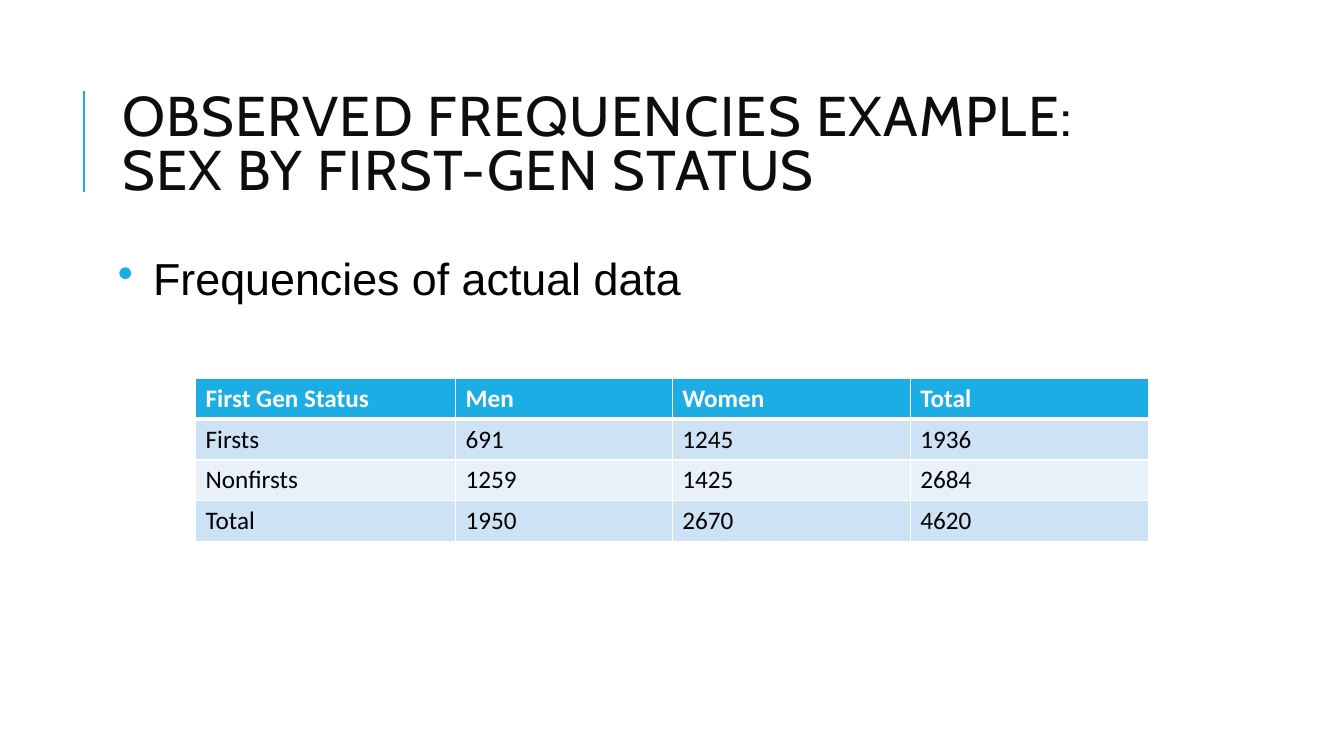
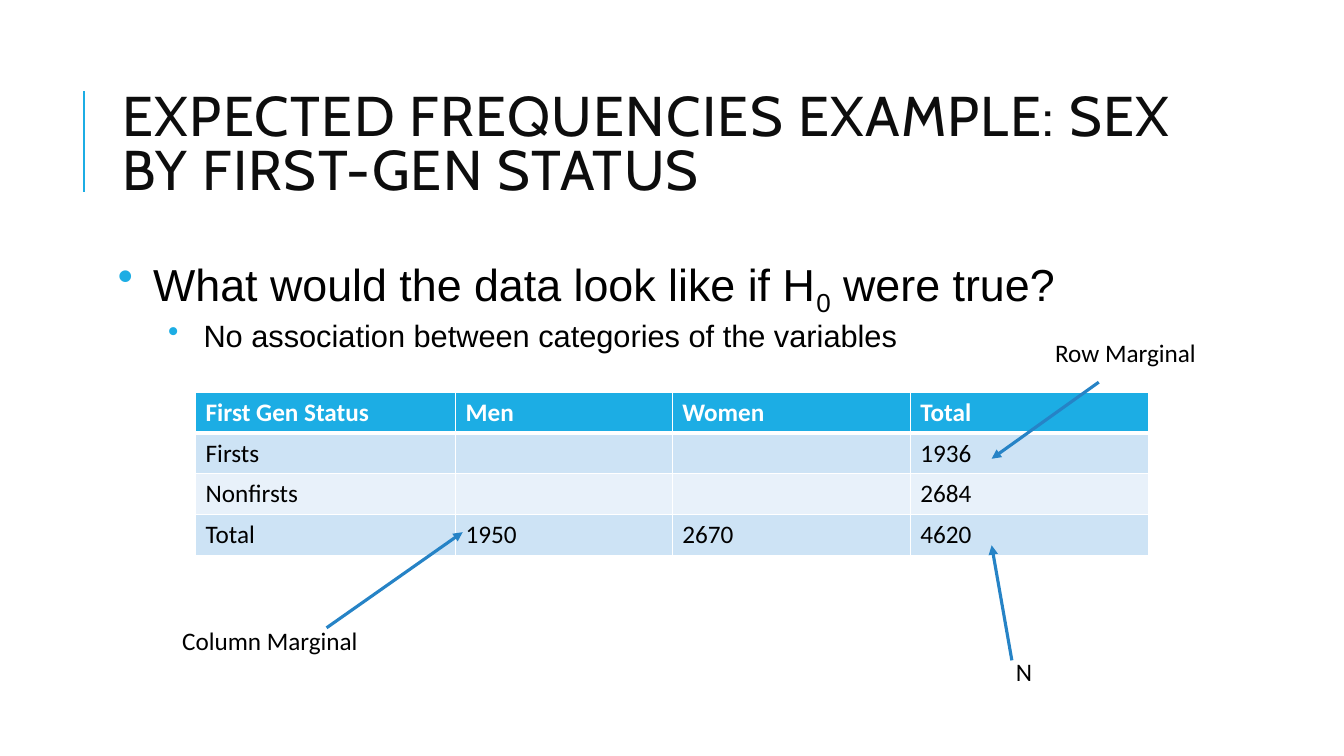
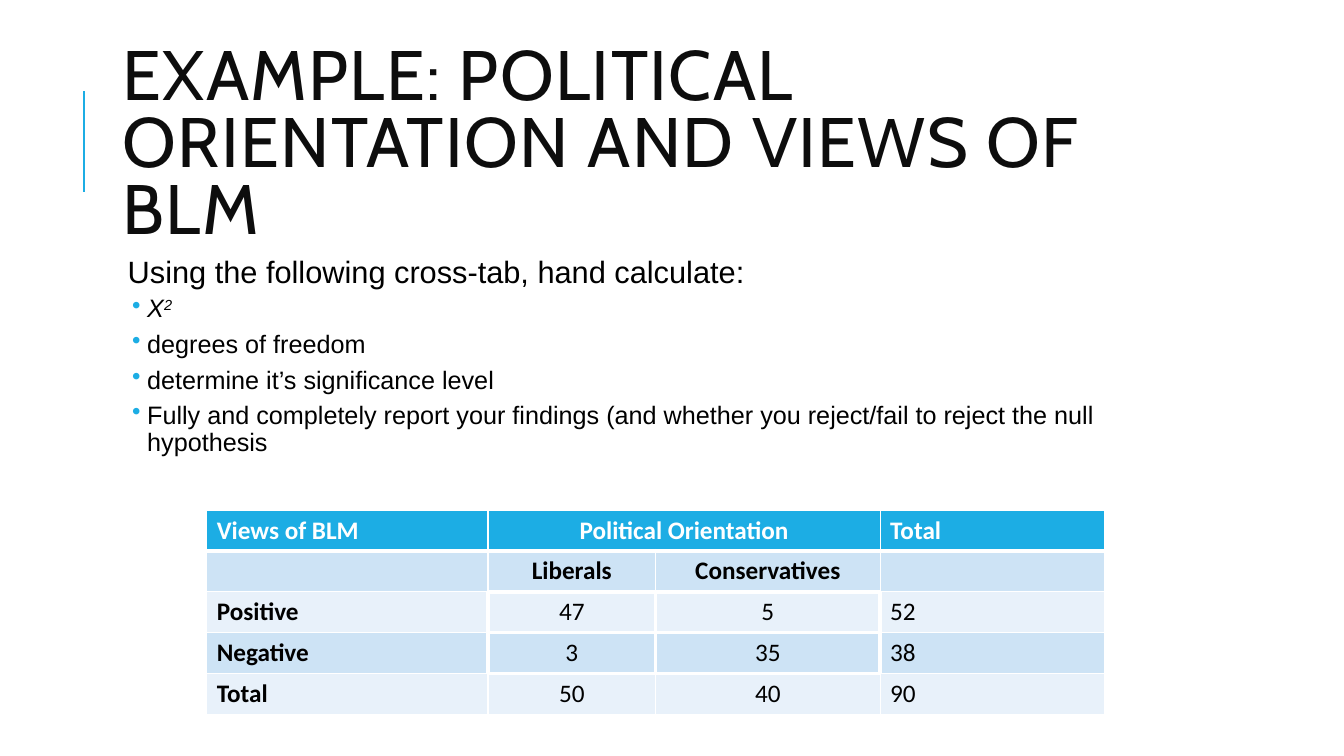
from lxml import etree
from pptx import Presentation
from pptx.dml.color import RGBColor
from pptx.enum import shapes, text
from pptx.oxml.ns import qn
from pptx.util import Cm, Pt

ACCENT = RGBColor(0x1C, 0xAD, 0xE4)
ARROW = RGBColor(0x26, 0x83, 0xC6)
INK = RGBColor(0x0D, 0x0D, 0x0D)
BLACK = RGBColor(0, 0, 0)
WHITE = RGBColor(0xFF, 0xFF, 0xFF)
BANDS = RGBColor(0xE8, 0xF1, 0xFA), RGBColor(0xCD, 0xE3, 0xF5)

TITLE_BOX = 2.84, 1.63, 27, 4.17
BODY_BOX = 2.84, 6.35, 27, 11.18
ROW_H = 1.03
LABEL_H = 1.02
EDGES = {"lnL": (0, -1), "lnR": (0, 1), "lnT": (-1, 0), "lnB": (1, 0)}

FREQUENCY_COLS = 6.55, 5.46, 6, 6
FREQUENCY_HEAD = ["First Gen Status", "Men", "Women", "Total"]
OBSERVED = [
    FREQUENCY_HEAD,
    ["Firsts", "691", "1245", "1936"],
    ["Nonfirsts", "1259", "1425", "2684"],
    ["Total", "1950", "2670", "4620"],
]
EXPECTED = [
    FREQUENCY_HEAD,
    ["Firsts", "", "", "1936"],
    ["Nonfirsts", "", "", "2684"],
    ["Total", "1950", "2670", "4620"],
]
VIEWS_COLS = 7.09, 4.22, 5.66, 5.66
VIEWS = [
    ["Views of BLM", "Political Orientation", "", "Total"],
    ["", "Liberals", "Conservatives", ""],
    ["Positive", "47", "5", "52"],
    ["Negative", "3", "35", "38"],
    ["Total", "50", "40", "90"],
]
CALLOUTS = [
    ("Column Marginal", (-0.59, 5.74, 6.07), (3.3, 5.94), (6.73, 3.53)),
    ("Row Marginal", (21.41, -1.5, 6.07), (22.76, -0.25), (20.06, 1.68)),
    ("N", (20.42, 6.53, 0.99), (20.57, 6.76), (20.06, 3.86)),
]


def add_run(p, words, size=18, font="Calibri", color=BLACK, bold=False,
            italic=False, baseline=0, spacing=0):
    r = p.add_run()
    r.text = words
    f = r.font
    f.size, f.name, f.bold, f.italic = Pt(size), font, bold, italic
    f.color.rgb = color
    rPr = r._r.get_or_add_rPr()
    if baseline:
        rPr.set("baseline", str(baseline * 1000))
    if spacing:
        rPr.set("spc", str(spacing * 100))


def add_box(s, box, wrap=True, inset=None):
    tf = s.shapes.add_textbox(*map(Cm, box)).text_frame
    tf.word_wrap = wrap
    if inset is not None:
        tf.margin_left = tf.margin_right = Cm(inset)
        tf.margin_top = tf.margin_bottom = Cm(inset)
    return tf


def add_line(s, start, end, color, width, arrow=False):
    ln = s.shapes.add_connector(shapes.MSO_CONNECTOR.STRAIGHT,
                                *map(Cm, (*start, *end)))
    ln.line.color.rgb = color
    ln.line.width = Pt(width)
    if arrow:
        etree.SubElement(ln.line._get_or_add_ln(), qn("a:tailEnd"), type="triangle")
    etree.SubElement(ln._element.spPr, qn("a:effectLst"))


def add_title(s, box, words, size):
    x, y, w, h = box
    add_line(s, (x - 0.73, y + 3.2), (x - 0.73, y + 0.66), ACCENT, 1.5)
    tf = add_box(s, box)
    tf.vertical_anchor = text.MSO_ANCHOR.MIDDLE
    p = tf.paragraphs[0]
    p.line_spacing = 0.8
    add_run(p, words, size=size, font="Cabin", color=INK, spacing=1)


def add_bullet(pPr):
    color = etree.SubElement(pPr, qn("a:buClr"))
    etree.SubElement(color, qn("a:srgbClr"), val=str(ACCENT))
    etree.SubElement(pPr, qn("a:buChar"), char="•")


def add_body(s, box, items):
    tf = add_box(s, box, inset=0.13)
    for i, (size, left, hang, runs) in enumerate(items):
        p = tf.add_paragraph() if i else tf.paragraphs[0]
        p.line_spacing = 0.9
        p.space_before, p.space_after = (Pt(2), Pt(4)) if hang else (Pt(12), Pt(2))
        pPr = p._p.get_or_add_pPr()
        pPr.set("marL", str(Cm(left)))
        pPr.set("indent", str(-Cm(hang)))
        if hang:
            add_bullet(pPr)
        for words, style in runs:
            add_run(p, words, size=size, font="Arial", **style)


def set_borders(cell, row, col, boxed):
    tcPr = cell._tc.get_or_add_tcPr()
    for i, (edge, (dr, dc)) in enumerate(EDGES.items()):
        thick = ({(row, col), (row + dr, col + dc)} & boxed
                 or (row == 0 and edge == "lnB"))
        ln = etree.Element(qn(f"a:{edge}"), w=str(Pt(3 if thick else 1)))
        fill = etree.SubElement(ln, qn("a:solidFill"))
        etree.SubElement(fill, qn("a:srgbClr"), val=str(WHITE))
        tcPr.insert(i, ln)


def add_grid(s, left, top, widths, rows, heads=1, bold_labels=False,
             centered=(), boxed=frozenset()):
    frame = s.shapes.add_table(len(rows), len(widths), Cm(left), Cm(top),
                               Cm(sum(widths)), Cm(ROW_H * len(rows)))
    tbl = frame.table
    for column, width in zip(tbl.columns, widths):
        column.width = Cm(width)
    for i, row in enumerate(rows):
        for j, words in enumerate(row):
            cell = tbl.cell(i, j)
            cell.fill.solid()
            cell.fill.fore_color.rgb = BANDS[i % 2] if i else ACCENT
            set_borders(cell, i, j, boxed)
            p = cell.text_frame.paragraphs[0]
            if j in centered:
                p.alignment = text.PP_ALIGN.CENTER
            if words:
                add_run(p, words, color=BLACK if i else WHITE,
                        bold=i < heads or (bold_labels and j == 0))
    return tbl


def add_callouts(s, left, top, callouts):
    for _, _, (x1, y1), (x2, y2) in callouts:
        add_line(s, (left + x1, top + y1), (left + x2, top + y2), ARROW, 2.25, arrow=True)
    for words, (dx, dy, width), _, _ in callouts:
        tf = add_box(s, (left + dx, top + dy, width, LABEL_H), wrap=width > 1)
        add_run(tf.paragraphs[0], words)


def new_slide(prs, title, items, size=40):
    s = prs.slides.add_slide(prs.slide_layouts[6])
    add_title(s, TITLE_BOX, title, size)
    add_body(s, BODY_BOX, items)
    return s


def observed_slide(prs):
    s = new_slide(prs, "OBSERVED FREQUENCIES EXAMPLE: SEX BY FIRST-GEN STATUS",
                  [(32, 0.89, 0.89, [("Frequencies of actual data", {})])])
    add_grid(s, 4.93, 9.53, FREQUENCY_COLS, OBSERVED)


def expected_slide(prs):
    question = [("What would the data look like if H", {}),
                ("0", {"baseline": -25}), (" were true?", {})]
    s = new_slide(prs, "EXPECTED FREQUENCIES EXAMPLE: SEX BY FIRST-GEN STATUS", [
        (32, 0.89, 0.89, question),
        (22, 2.16, 0.89, [("No association between categories of the variables", {})]),
    ])
    left, top = 4.93, 9.88
    add_grid(s, left, top, FREQUENCY_COLS, EXPECTED)
    add_callouts(s, left, top, CALLOUTS)


def views_slide(prs):
    tasks = [
        [("X", {"italic": True}), ("2", {"italic": True, "baseline": 30})],
        [("degrees of freedom", {})],
        [("determine it’s significance level", {})],
        [("Fully and completely report your findings (and whether you "
          "reject/fail to reject the null hypothesis", {})],
    ]
    intro = [("Using the following cross-tab, hand calculate:", {})]
    s = new_slide(prs, "EXAMPLE: POLITICAL ORIENTATION AND VIEWS OF BLM",
                  [(22, 0.25, 0, intro)] + [(18, 0.74, 0.38, task) for task in tasks],
                  size=50)
    counts = {(i, j) for i in (2, 3) for j in (1, 2)}
    tbl = add_grid(s, 5.21, 12.85, VIEWS_COLS, VIEWS, heads=2, bold_labels=True,
                   centered=(1, 2), boxed=counts)
    tbl.cell(0, 1).merge(tbl.cell(0, 2))


prs = Presentation()
prs.slide_width, prs.slide_height = Cm(33.87), Cm(19.05)
observed_slide(prs)
expected_slide(prs)
views_slide(prs)
prs.save("out.pptx")
